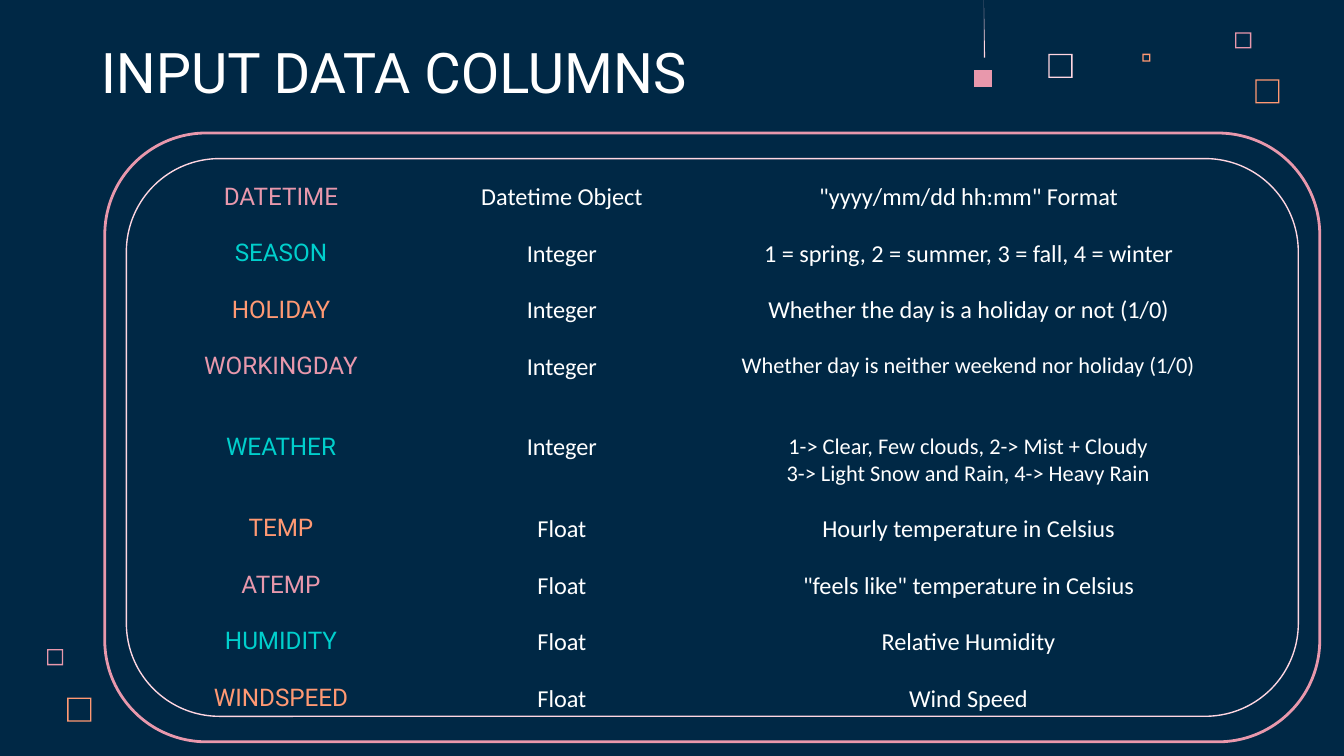
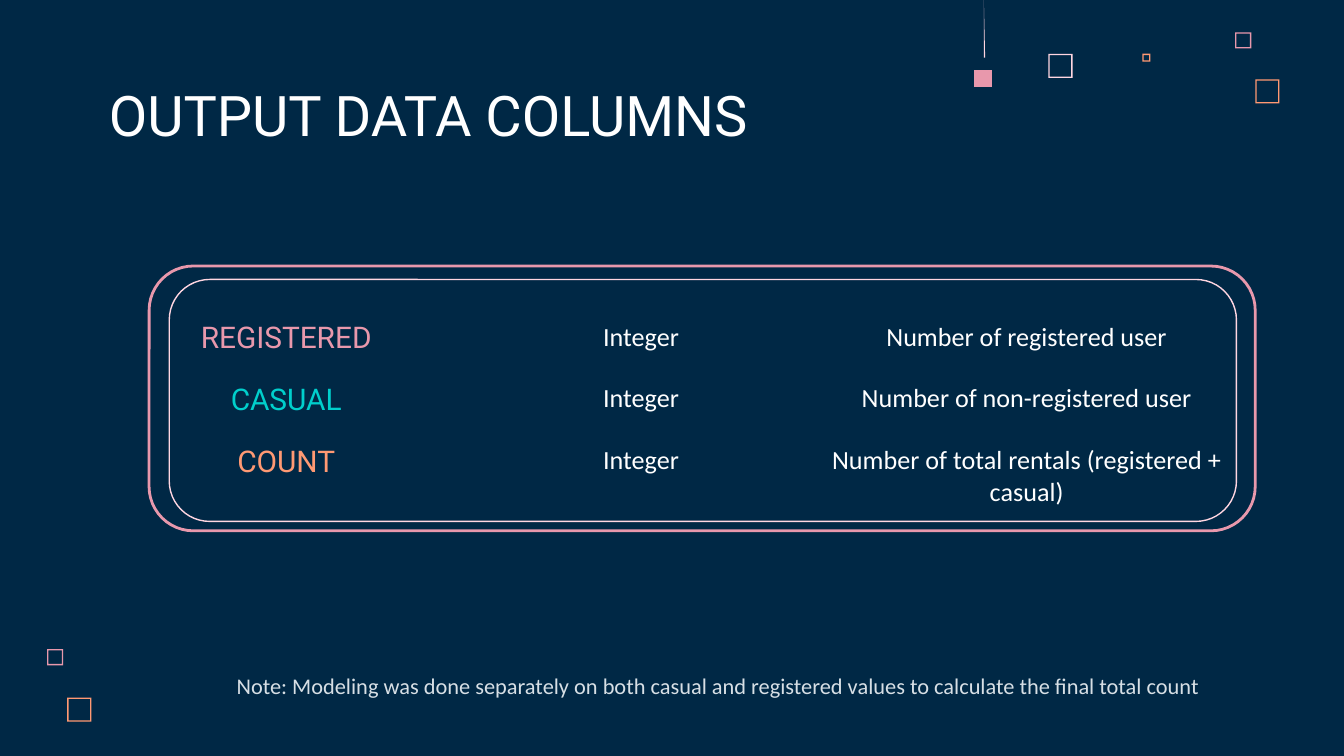
import itertools
import lxml.etree
import pptx
import pptx.dml.color
import pptx.enum.shapes
import pptx.enum.text
import pptx.oxml.ns
import pptx.util

Inches = pptx.util.Inches
Pt = pptx.util.Pt
Align = pptx.enum.text.PP_ALIGN
Anchor = pptx.enum.text.MSO_ANCHOR

NAVY, WHITE, PALE = "002845", "FFFFFF", "D7DFE5"
PINK, TEAL, PEACH, BLUSH = "E898AC", "00CFCC", "FF9973", "FFD6E1"
HEAD, BODY = "Roboto", "Calibri"
PLAIN = "{2D5ABB26-0587-4C30-8999-92F81FD0307C}"  # table style: no grid
RIM = 0.01

# Hollow squares: left, top, side, colour
BOXES = [
    (7.8, 0.4, 0.18, BLUSH),
    (9.19, 0.24, 0.12, PINK),
    (8.5, 0.4, 0.06, PEACH),
    (9.34, 0.59, 0.18, PEACH),
    (0.35, 4.83, 0.12, PINK),
    (0.5, 5.19, 0.18, PEACH),
]

INPUTS = [
    ("DATETIME", "Datetime Object", '"yyyy/mm/dd hh:mm" Format'),
    ("SEASON", "Integer", "1 = spring, 2 = summer, 3 = fall, 4 = winter"),
    ("HOLIDAY", "Integer", "Whether the day is a holiday or not (1/0)"),
    ("WORKINGDAY", "Integer", "Whether day is neither weekend nor holiday (1/0)"),
    ("WEATHER", "Integer", "1-> Clear, Few clouds, 2-> Mist + Cloudy\n"
                           "3-> Light Snow and Rain, 4-> Heavy Rain"),
    ("TEMP", "Float", "Hourly temperature in Celsius"),
    ("ATEMP", "Float", '"feels like" temperature in Celsius'),
    ("HUMIDITY", "Float", "Relative Humidity"),
    ("WINDSPEED", "Float", "Wind Speed"),
]
TALL = ("WORKINGDAY", "WEATHER")

OUTPUTS = [
    ("REGISTERED", "Integer", "Number of registered user"),
    ("CASUAL", "Integer", "Number of non-registered user"),
    ("COUNT", "Integer", "Number of total rentals (registered + casual)"),
]


def rgb(code):
    return pptx.dml.color.RGBColor.from_string(code)


def assign(item, vals):
    for key, val in vals.items():
        setattr(item, key, val)


def place(item, at):
    assign(item, dict(zip(("left", "top", "width", "height"), map(Inches, at))))


class Deck:
    def __init__(self):
        self.prs = pptx.Presentation()
        assign(self.prs, {"slide_width": Inches(10), "slide_height": Inches(5.625)})
        fill = self.prs.slide_master.background.fill
        fill.solid()
        fill.fore_color.rgb = rgb(NAVY)
        self.slide = None

    def start(self, text, left, top):
        """Add a slide with its squares and title."""
        self.slide = self.prs.slides.add_slide(self.prs.slide_layouts[0])
        sub = self.slide.placeholders[1].element
        sub.getparent().remove(sub)
        self.decor()
        title = self.slide.shapes.title
        place(title, (left, top, 5.17, 0.63))
        self.letter(title.text_frame, text, HEAD, 30, WHITE, Align.LEFT, Anchor.BOTTOM)

    def letter(self, frame, text, face, size, color, align=Align.CENTER, anchor=None):
        edges = ("margin_left", "margin_top", "margin_right", "margin_bottom")
        assign(frame, dict.fromkeys(edges, Inches(0.1)))
        assign(frame, {"word_wrap": True, "vertical_anchor": anchor or Anchor.TOP,
                       "auto_size": pptx.enum.text.MSO_AUTO_SIZE.NONE})
        self.style(frame, text, face, size, color, align)

    def style(self, frame, text, face, size, color, align=Align.CENTER):
        frame.text = text
        for para in frame.paragraphs:
            para.alignment = align
            for run in para.runs:
                assign(run.font, {"name": face, "size": Pt(size), "bold": False})
                run.font.color.rgb = rgb(color)

    def outline(self, color, *rings):
        """Fill a freeform made of closed rings of points."""
        pen = None
        for ring in rings:
            pts = [(Inches(x), Inches(y)) for x, y in ring]
            if pen is None:
                pen = self.slide.shapes.build_freeform(*pts[0], scale=1.0)
            else:
                pen.move_to(*pts[0])
            pen.add_line_segments(pts[1:], close=True)
        shape = pen.convert_to_shape()
        shape.shadow.inherit = False
        shape.fill.solid()
        shape.fill.fore_color.rgb = rgb(color)
        shape.line.fill.background()

    def decor(self):
        def ring(x, y, side):
            return [(x, y), (x, y + side), (x + side, y + side), (x + side, y)]

        for x, y, side, color in BOXES:
            hole = ring(x + RIM, y + RIM, side - 2 * RIM)[::-1]
            self.outline(color, hole, ring(x, y, side))
        # Pendant: a solid square under a thin thread
        self.outline(PINK, ring(7.25, 0.52, 0.13))
        self.outline(BLUSH, [(7.32, 0), (7.32, 0.43), (7.33, 0.43)])

    def frame(self, at, color, width):
        kind = pptx.enum.shapes.MSO_SHAPE.ROUNDED_RECTANGLE
        shape = self.slide.shapes.add_shape(kind, *map(Inches, at))
        shape.shadow.inherit = False
        shape.adjustments[0] = 0.167
        shape.fill.background()
        shape.line.color.rgb = rgb(color)
        shape.line.width = Pt(width)

    def table(self, left, top, cols, rows, high, sizes, tall=()):
        """Draw an empty first row, then one row per data column."""
        steps = [0.46] + [0.6 if row[0] in tall else high for row in rows]
        item = self.slide.shapes.add_table(
            len(steps), len(cols), Inches(left), Inches(top),
            Inches(sum(cols)), Inches(sum(steps)))
        grid = item.table
        assign(grid, {"first_row": False, "horz_banding": False})
        grid._tbl.tblPr.find(pptx.oxml.ns.qn("a:tableStyleId")).text = PLAIN
        for col, width in zip(grid.columns, cols):
            col.width = Inches(width)
        for row, step in zip(grid.rows, steps):
            row.height = Inches(step)
        for cell in grid.iter_cells():
            cell.fill.background()
            assign(cell, {"margin_top": Inches(0.1), "margin_bottom": Inches(0.1)})
        for cell in grid.rows[0].cells:
            para = cell.text_frame.paragraphs[0]._p
            lxml.etree.SubElement(para, pptx.oxml.ns.qn("a:endParaRPr"), sz="1200")
        hues = itertools.cycle((PINK, TEAL, PEACH))
        for at, (row, hue) in enumerate(zip(rows, hues), 1):
            last = 12 if row[0] in tall else sizes[1]
            looks = [(HEAD, sizes[0], hue), (BODY, sizes[1], WHITE), (BODY, last, WHITE)]
            for cell, text, look in zip(grid.rows[at].cells, row, looks):
                self.style(cell.text_frame, text, *look)

    def note(self, text, at):
        box = self.slide.shapes.add_textbox(*map(Inches, at))
        self.letter(box.text_frame, text, BODY, 12, PALE)


def main():
    deck = Deck()

    # Input columns
    deck.start("INPUT DATA COLUMNS", 0.65, 0.25)
    deck.frame((0.78, 0.99, 9.04, 4.53), PINK, 1.5)
    deck.frame((0.94, 1.18, 8.72, 4.15), BLUSH, 0.75)
    deck.table(0.94, 0.8, (2.3, 1.88, 4.17), INPUTS, 0.42, (13, 13), TALL)

    # Output columns
    deck.start("OUTPUT DATA COLUMNS", 0.71, 0.57)
    deck.frame((1.11, 1.98, 8.23, 1.97), PINK, 1.5)
    deck.frame((1.26, 2.08, 7.94, 1.8), BLUSH, 0.75)
    deck.table(0.81, 1.83, (2.64, 2.64, 3.1), OUTPUTS, 0.46, (16, 14))
    deck.note("Note: Modeling was done separately on both casual and registered "
              "values to calculate the final total count", (1.19, 4.9, 8.31, 0.4))

    deck.prs.save("out.pptx")


if __name__ == "__main__":
    main()
